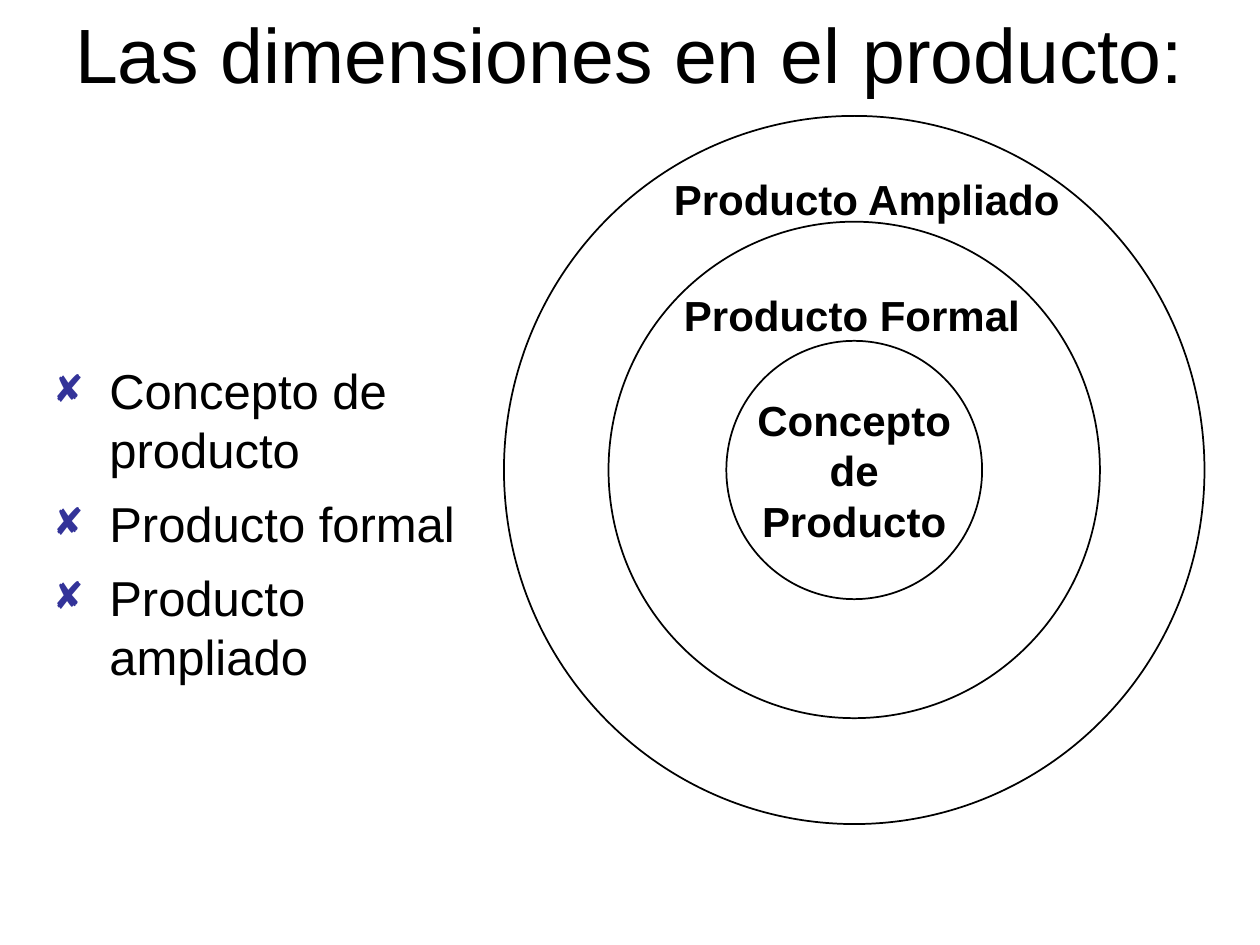
from lxml import etree
from pptx import Presentation
from pptx.dml.color import RGBColor
from pptx.enum import shapes, text
from pptx.oxml.ns import qn
from pptx.util import Inches, Pt

BLACK, WHITE, BULLET = "000000", "FFFFFF", "333399"


def color(value):
    """Turn a hex string into a colour."""
    return RGBColor.from_string(value)


def write(frame, lines, size, bold=False, **formats):
    """Fill a text frame with one paragraph for each line and return them."""
    for index, line in enumerate(lines):
        para = frame.paragraphs[0] if index == 0 else frame.add_paragraph()
        para.text = line
        for name, value in formats.items():
            setattr(para, name, value)
        for span in para.runs:
            font = {"name": "Arial", "size": Pt(size), "bold": bold}
            for name, value in font.items():
                setattr(span.font, name, value)
            span.font.color.rgb = color(BLACK)
    return frame.paragraphs


def add_text(page, box, lines, size, anchor=text.MSO_ANCHOR.TOP, **formats):
    """Place a wrapping text box in the given box and return its paragraphs."""
    frame = page.shapes.add_textbox(*map(Inches, box)).text_frame
    frame.word_wrap = True
    frame.vertical_anchor = anchor
    return write(frame, lines, size, **formats)


def add_bullet(para, indent):
    """Give a paragraph a coloured cross with a hanging indent."""
    props = para._p.get_or_add_pPr()
    props.set("marL", str(Inches(indent)))
    props.set("indent", str(-Inches(indent)))
    tint = etree.SubElement(props, qn("a:buClr"))
    etree.SubElement(tint, qn("a:srgbClr"), val=BULLET)
    etree.SubElement(props, qn("a:buChar"), char="✘")


def add_title(page, box):
    """Place the centred slide title."""
    add_text(page, box, ["Las dimensiones en el producto:"], 44,
             text.MSO_ANCHOR.MIDDLE, alignment=text.PP_ALIGN.CENTER)


def add_ring(page, center, size):
    """Draw one outlined circle around a centre and return it."""
    (x, y), (width, height) = center, size
    box = (x - width / 2, y - height / 2, width, height)
    ring = page.shapes.add_shape(shapes.MSO_SHAPE.OVAL, *map(Inches, box))
    ring.shadow.inherit = False
    ring.fill.solid()
    ring.fill.fore_color.rgb = color(WHITE)
    ring.line.color.rgb = color(BLACK)
    ring.line.width = Pt(1)
    return ring


def add_rings(page, box):
    """Draw the nested product levels, outermost first, with their labels."""
    left, top, width, height = box
    center = left + width / 2, top + height / 2
    for size in ((width, height), (3.9, 3.94), (2.03, 2.05)):
        core = add_ring(page, center, size)
    frame = core.text_frame
    frame.word_wrap = False
    frame.vertical_anchor = text.MSO_ANCHOR.MIDDLE
    write(frame, ["Concepto\nde\nProducto"], 24, bold=True,
          alignment=text.PP_ALIGN.CENTER)
    labels = {"Producto Formal": (1.33, 1.33, 3.02, 0.55),
              "Producto Ampliado": (1.25, 0.41, 3.33, 0.66)}
    for label, (x, y, *extent) in labels.items():
        add_text(page, (left + x, top + y, *extent), [label], 24,
                 bold=True, space_before=Pt(6))


def add_list(page, box):
    """Place the bulleted list of product levels."""
    levels = ["Concepto de producto", "Producto formal", "Producto ampliado"]
    for para in add_text(page, box, levels, 28, space_before=Pt(8.8)):
        add_bullet(para, 0.42)


def main():
    """Build the slide and save the deck."""
    deck = Presentation()
    deck.slide_width, deck.slide_height = Inches(10), Inches(7.5)
    page = deck.slides.add_slide(deck.slide_layouts[6])
    add_title(page, (0, 0, 10, 0.83))
    add_rings(page, (4, 0.92, 5.56, 5.62))
    add_list(page, (0.35, 2.81, 3.36, 3.67))
    deck.save("out.pptx")


if __name__ == "__main__":
    main()
